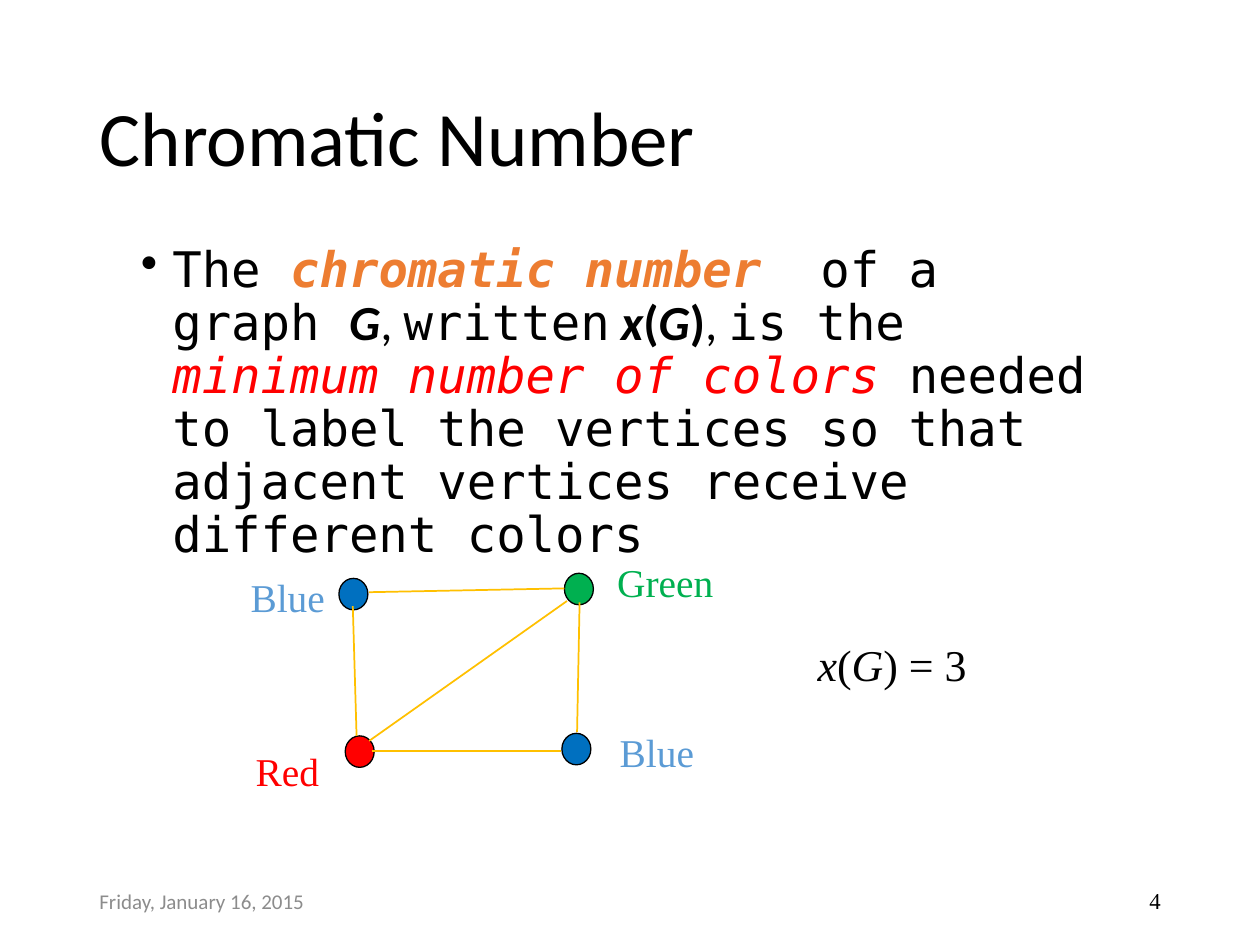
"""Build the chromatic number slide with its coloured example graph."""
from dataclasses import dataclass

from lxml import etree
from pptx import Presentation
from pptx.dml.color import RGBColor
from pptx.enum.shapes import MSO_CONNECTOR, MSO_SHAPE
from pptx.enum.text import MSO_ANCHOR, MSO_AUTO_SIZE, PP_ALIGN
from pptx.oxml.ns import qn
from pptx.util import Inches, Pt

ELLIPSE = MSO_SHAPE.OVAL
STRAIGHT = MSO_CONNECTOR.STRAIGHT
TOP, MIDDLE = MSO_ANCHOR.TOP, MSO_ANCHOR.MIDDLE
LEFT, RIGHT = PP_ALIGN.LEFT, PP_ALIGN.RIGHT
NO_FIT, GROW = MSO_AUTO_SIZE.NONE, MSO_AUTO_SIZE.SHAPE_TO_FIT_TEXT

BLACK = RGBColor(0x00, 0x00, 0x00)
GREY = RGBColor(0x8C, 0x8C, 0x8C)
RED = RGBColor(0xFF, 0x00, 0x00)
GREEN = RGBColor(0x00, 0xB0, 0x50)
BLUE = RGBColor(0x00, 0x70, 0xC0)
LIGHT_BLUE = RGBColor(0x5B, 0x9B, 0xD5)
ORANGE = RGBColor(0xED, 0x7D, 0x31)
GOLD = RGBColor(0xFF, 0xC0, 0x00)

SANS, MONO, SERIF = "Calibri", "DejaVu Sans Mono", "Times New Roman"
MARGIN = 0.69
FOOTER_TOP, FOOTER_WIDTH, FOOTER_HEIGHT = 6.95, 2.25, 0.4
VERTEX_WIDTH, VERTEX_HEIGHT = 0.23, 0.25
LABEL_HEIGHT = 0.47


@dataclass(frozen=True)
class Span:
    text: str
    font: str = MONO
    color: RGBColor = BLACK
    bold: bool = False
    italic: bool = False


@dataclass(frozen=True)
class Vertex:
    left: float
    top: float
    color: RGBColor


@dataclass(frozen=True)
class Edge:
    start: tuple[float, float]
    end: tuple[float, float]


@dataclass(frozen=True)
class TextBlock:
    spans: tuple[Span, ...]
    box: tuple[float, float, float, float]
    size: float
    align: PP_ALIGN = LEFT
    anchor: MSO_ANCHOR = TOP
    fit: MSO_AUTO_SIZE = GROW


def label(text: str, left: float, top: float, width: float, color: RGBColor) -> TextBlock:
    return TextBlock((Span(text, SERIF, color),), (left, top, width, LABEL_HEIGHT), 22.5)


def footer(text: str, left: float, font: str, size: float, color: RGBColor, align: PP_ALIGN) -> TextBlock:
    box = (left, FOOTER_TOP, FOOTER_WIDTH, FOOTER_HEIGHT)
    return TextBlock((Span(text, font, color),), box, size, align, MIDDLE, NO_FIT)


TITLE = TextBlock((Span("Chromatic Number", SANS),), (MARGIN, 0.4, 10 - 2 * MARGIN, 1.45),
                  44, anchor=MIDDLE, fit=NO_FIT)
DEFINITION = TextBlock((
    Span("The "),
    Span("chromatic number", color=ORANGE, bold=True, italic=True),
    Span("  of a graph "),
    Span("G", SANS, bold=True, italic=True),
    Span(", ", SANS),
    Span("written"),
    Span(" x", SANS, bold=True, italic=True),
    Span("(", SANS, bold=True),
    Span("G", SANS, bold=True, italic=True),
    Span(")", SANS, bold=True),
    Span(", ", SANS),
    Span("is the "),
    Span("minimum number of colors ", color=RED, italic=True),
    Span("needed to label the vertices so that adjacent vertices receive different colors"),
), (1.02, 1.9, 7.84, 2.08), 28, fit=NO_FIT)
RESULT = TextBlock((
    Span("x", SERIF, italic=True),
    Span("(", SERIF),
    Span("G", SERIF, italic=True),
    Span(") = 3", SERIF),
), (6.39, 5.01, 1.68, 0.52), 25.1)

VERTICES = (
    Vertex(2.69, 4.59, BLUE),
    Vertex(4.48, 4.55, GREEN),
    Vertex(2.74, 5.84, RED),
    Vertex(4.46, 5.82, BLUE),
)
EDGES = (
    Edge((2.8, 4.81), (2.83, 5.84)),
    Edge((2.95, 5.96), (4.45, 5.96)),
    Edge((4.6, 4.78), (4.58, 5.81)),
    Edge((2.93, 4.7), (4.48, 4.67)),
    Edge((4.5, 4.77), (2.93, 5.88)),
)
TEXT_BLOCKS = (
    label("Red", 1.93, 5.88, 0.73, RED),
    label("Green", 4.8, 4.38, 1.13, GREEN),
    label("Blue", 4.82, 5.73, 0.96, LIGHT_BLUE),
    label("Blue", 1.89, 4.5, 0.81, LIGHT_BLUE),
    RESULT,
    footer("Friday, January 16, 2015", MARGIN, SANS, 12, GREY, LEFT),
    footer("4", 10 - MARGIN - FOOTER_WIDTH, SERIF, 13, BLACK, RIGHT),
)


def write_text(shape, block: TextBlock):
    shape.left, shape.top, shape.width, shape.height = map(Inches, block.box)
    frame = shape.text_frame
    frame.word_wrap = True
    frame.auto_size = block.fit
    frame.vertical_anchor = block.anchor
    paragraph = frame.paragraphs[0]
    paragraph.alignment = block.align
    paragraph.font.size = Pt(block.size)
    for span in block.spans:
        run = paragraph.add_run()
        run.text = span.text
        run.font.name = span.font
        run.font.color.rgb = span.color
        run.font.bold = span.bold
        run.font.italic = span.italic
    return paragraph


def add_text(slide, block: TextBlock):
    return write_text(slide.shapes.add_textbox(*map(Inches, block.box)), block)


def add_definition(slide) -> None:
    paragraph = add_text(slide, DEFINITION)
    paragraph.line_spacing = 0.9
    paragraph.space_before = Pt(10)
    properties = paragraph.font._element.getparent()
    properties.set("marL", str(Inches(0.25)))
    properties.set("indent", str(Inches(-0.25)))
    bullet = etree.Element(qn("a:buChar"), char="•")
    properties.insert(properties.index(paragraph.font._element), bullet)


def add_vertex(slide, vertex: Vertex) -> None:
    shape = slide.shapes.add_shape(ELLIPSE, Inches(vertex.left), Inches(vertex.top),
                                   Inches(VERTEX_WIDTH), Inches(VERTEX_HEIGHT))
    shape.shadow.inherit = False
    shape.fill.solid()
    shape.fill.fore_color.rgb = vertex.color
    shape.line.color.rgb = BLACK
    shape.line.width = Pt(0.75)


def add_edge(slide, edge: Edge) -> None:
    connector = slide.shapes.add_connector(STRAIGHT, *map(Inches, edge.start + edge.end))
    connector.line.color.rgb = GOLD
    connector.line.width = Pt(1)
    etree.SubElement(connector._element.spPr, qn("a:effectLst"))


def main() -> None:
    presentation = Presentation()
    presentation.slide_width, presentation.slide_height = Inches(10), Inches(7.5)
    slide = presentation.slides.add_slide(presentation.slide_layouts[5])
    write_text(slide.shapes.title, TITLE).line_spacing = 0.9
    add_definition(slide)
    for vertex in VERTICES:
        add_vertex(slide, vertex)
    for edge in EDGES:
        add_edge(slide, edge)
    for block in TEXT_BLOCKS:
        add_text(slide, block)
    presentation.save("out.pptx")


main()
